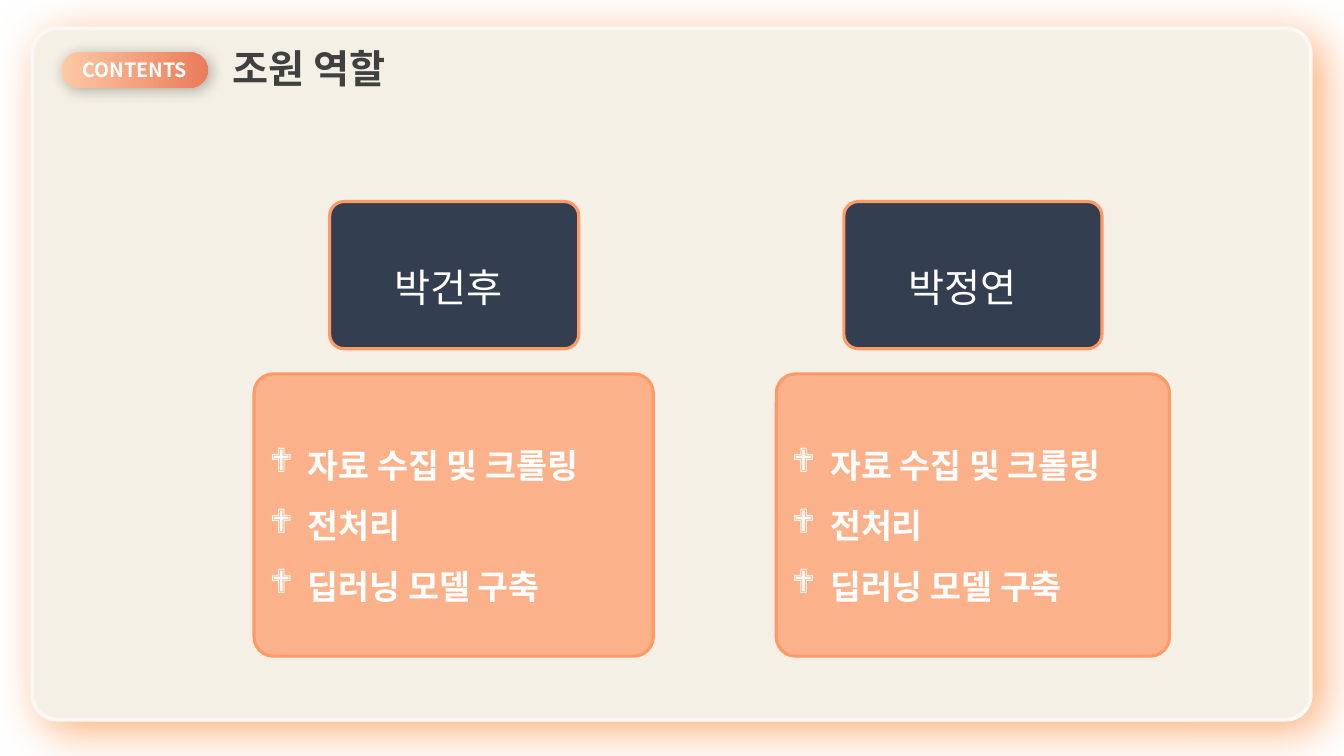
from lxml import etree
from pptx import Presentation
from pptx.dml.color import RGBColor
from pptx.enum.shapes import MSO_SHAPE
from pptx.enum.text import MSO_ANCHOR, MSO_AUTO_SIZE, PP_ALIGN
from pptx.oxml.ns import qn
from pptx.util import Inches, Pt

ROUND = MSO_SHAPE.ROUNDED_RECTANGLE
TOP, MIDDLE = MSO_ANCHOR.TOP, MSO_ANCHOR.MIDDLE
LEFT, CENTER = PP_ALIGN.LEFT, PP_ALIGN.CENTER

FONT = "Noto Sans CJK KR"
WHITE = RGBColor(0xFF, 0xFF, 0xFF)
CREAM = RGBColor(0xF4, 0xF0, 0xE5)
PALE = RGBColor(0xFA, 0xF8, 0xF4)
PEACH = RGBColor(0xFE, 0xC8, 0xA4)
CORAL = RGBColor(0xEA, 0x7C, 0x59)
GLOW = RGBColor(0xFD, 0xB0, 0x7A)
ORANGE = RGBColor(0xFF, 0x99, 0x66)
NAVY = RGBColor(0x33, 0x3F, 0x50)
DARK = RGBColor(0x40, 0x40, 0x40)
BLACK = RGBColor(0, 0, 0)

TITLE = "조원 역할"
LABEL = "CONTENTS"
TASKS = ["자료 수집 및 크롤링", "전처리", "딥러닝 모델 구축"]
# name, (left, width) of the name box, (left, width) of the task box
MEMBERS = [
    ("박건후", (3.27, 2.47), (2.52, 3.96)),
    ("박정연", (8.37, 2.56), (7.7, 3.9)),
]
NAME_TOP, NAME_HEIGHT = 2, 1.46
TASK_TOP, TASK_HEIGHT = 3.71, 2.8


def add_box(s, left, top, width, height, radius, fill=None, line=None, weight=2.25):
    box = s.shapes.add_shape(ROUND, Inches(left), Inches(top), Inches(width), Inches(height))
    box.adjustments[0] = radius
    box.shadow.inherit = False
    if fill is not None:
        box.fill.solid()
        box.fill.fore_color.rgb = fill
    if line is None:
        box.line.fill.background()
    else:
        box.line.color.rgb = line
        box.line.width = Pt(weight)
    return box


def add_alpha(color, percent):
    etree.SubElement(color, qn("a:alpha"), val=str(percent * 1000))


def add_shadow(shape, color, opacity, blur, distance, angle):
    effects = shape.element.spPr.find(qn("a:effectLst"))
    outer = etree.SubElement(
        effects, qn("a:outerShdw"), blurRad=str(Pt(blur)), dist=str(Pt(distance)),
        dir=str(angle * 60000), algn="tl", rotWithShape="0")
    clr = etree.SubElement(outer, qn("a:srgbClr"), val=str(color))
    add_alpha(clr, opacity)


def write(shape, lines, size, color=WHITE, bold=False, align=LEFT, anchor=MIDDLE,
          spacing=1.0, level=0, margin=0, indent=0, bullet=None):
    tf = shape.text_frame
    tf.word_wrap = True
    tf.vertical_anchor = anchor
    for i, text in enumerate(lines):
        p = tf.add_paragraph() if i else tf.paragraphs[0]
        p.alignment = align
        p.line_spacing = spacing
        p.level = level
        pPr = p._p.get_or_add_pPr()
        pPr.set("marL", str(Inches(margin)))
        pPr.set("indent", str(Inches(indent)))
        if bullet:
            etree.SubElement(pPr, qn("a:buFont"), typeface="Wingdings")
            etree.SubElement(pPr, qn("a:buChar"), char=bullet)
        r = p.add_run()
        r.text = text
        r.font.name = FONT
        r.font.size = Pt(size)
        r.font.bold = bold
        r.font.color.rgb = color
        etree.SubElement(r._r.get_or_add_rPr(), qn("a:ea"), typeface=FONT)


def add_header(s):
    card = add_box(s, 0.32, 0.28, 12.68, 6.86, 0.036, CREAM, PALE, 2.75)
    add_shadow(card, GLOW, 100, 33, 10, 45)

    pill = add_box(s, 0.61, 0.52, 1.45, 0.35, 0.5)
    pill.fill.gradient()
    pill.fill.gradient_angle = 0
    for stop, color in zip(pill.fill.gradient_stops, (PEACH, CORAL)):
        stop.color.rgb = color
    add_shadow(pill, BLACK, 30, 11, 3, 45)
    write(pill, [LABEL], 14, bold=True, align=CENTER)

    title = s.shapes.title
    title.left, title.top = Inches(2.21), Inches(0.39)
    title.width, title.height = Inches(7.12), Inches(0.57)
    write(title, [TITLE], 28, DARK, bold=True, anchor=TOP)
    title.text_frame.auto_size = MSO_AUTO_SIZE.SHAPE_TO_FIT_TEXT
    pill.element.addnext(title.element)  # bring the title in front of the card


def add_member(s, name, name_span, task_span):
    left, width = task_span
    tasks = add_box(s, left, TASK_TOP, width, TASK_HEIGHT, 0.068, ORANGE, ORANGE)
    add_alpha(tasks.element.spPr.find(qn("a:solidFill"))[0], 70)
    write(tasks, TASKS, 24, bold=True, spacing=1.5, margin=0.38, indent=-0.38, bullet="❖")

    left, width = name_span
    badge = add_box(s, left, NAME_TOP, width, NAME_HEIGHT, 0.097, NAVY, ORANGE)
    write(badge, [name], 28, spacing=1.5, level=1, margin=0.5)


def main():
    prs = Presentation()
    prs.slide_width, prs.slide_height = Inches(13.33), Inches(7.5)
    s = prs.slides.add_slide(prs.slide_layouts[5])
    add_header(s)
    for member in MEMBERS:
        add_member(s, *member)
    prs.save("out.pptx")


if __name__ == "__main__":
    main()
